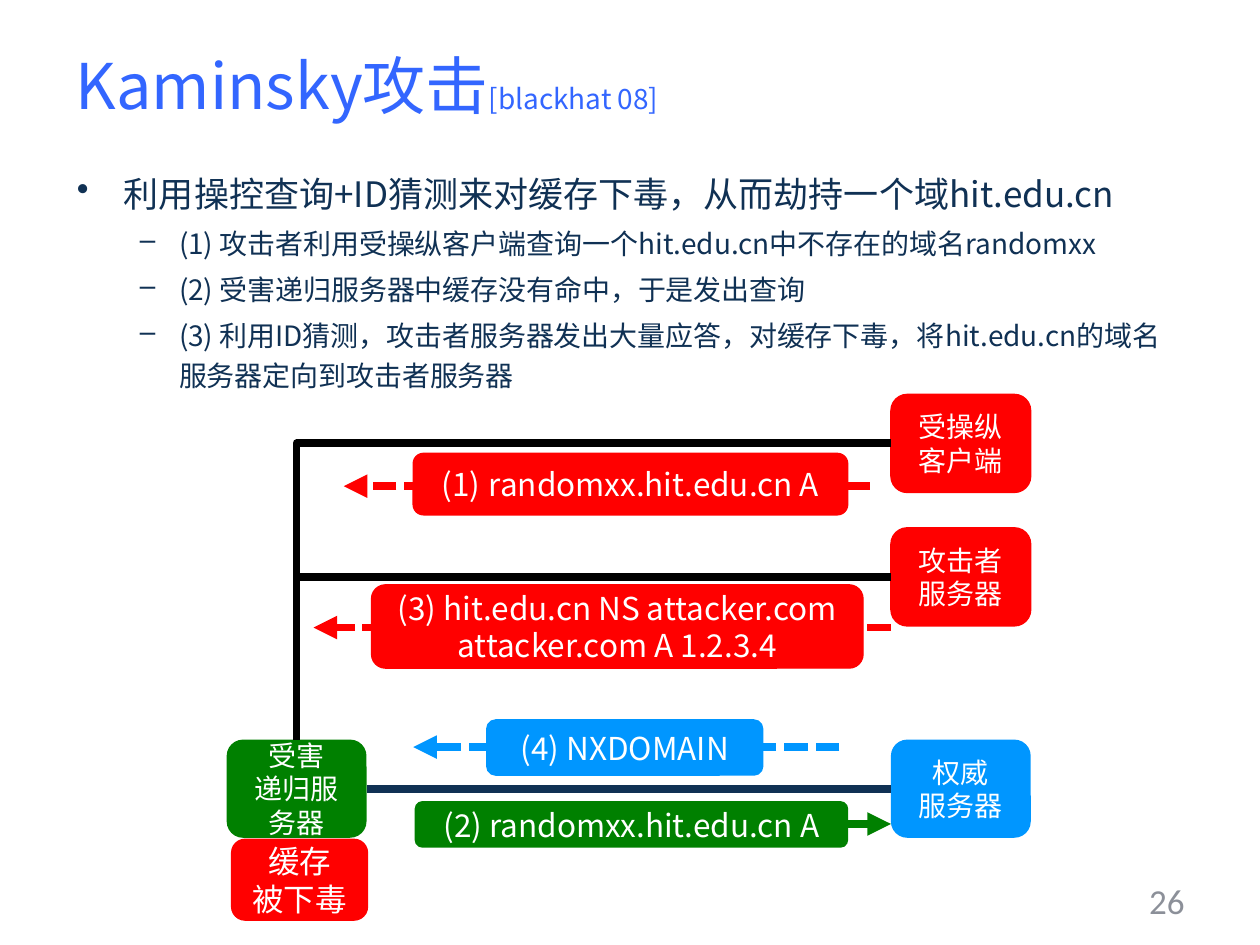
import pptx
import pptx.util
import pptx.dml.color
import pptx.enum.dml
import pptx.enum.shapes
import pptx.enum.text
import pptx.oxml.ns
from lxml import etree

Cm, Pt = pptx.util.Cm, pptx.util.Pt
ALIGN = pptx.enum.text.PP_ALIGN
MIDDLE = pptx.enum.text.MSO_ANCHOR.MIDDLE
CONNECTOR = pptx.enum.shapes.MSO_CONNECTOR
qn = pptx.oxml.ns.qn

THEME = {
    "font": "Noto Sans CJK SC", "number_font": "Calibri",
    "title": "3366FF", "ink": "103154", "grey": "8C9099", "white": "FFFFFF",
    "black": "000000", "red": "FF0000", "green": "008000", "blue": "0096FF",
    "title_size": 36, "point_size": 20, "small_size": 16, "label_size": 18,
    "wire": 4.5, "outline": 0.75,
}

TITLE = [("Kaminsky攻击", "title_size"), ("[blackhat 08]", "small_size")]
# text, size, bullet, left margin, hanging indent, space before
POINT = ("point_size", "•", 0.95, -0.95, 4)
STEP = ("small_size", "–", 2.06, -0.79, 3.2)
BODY = [
    ("利用操控查询+ID猜测来对缓存下毒，从而劫持一个域hit.edu.cn", POINT),
    ("(1) 攻击者利用受操纵客户端查询一个hit.edu.cn中不存在的域名randomxx", STEP),
    ("(2) 受害递归服务器中缓存没有命中，于是发出查询", STEP),
    ("(3) 利用ID猜测，攻击者服务器发出大量应答，对缓存下毒，"
     "将hit.edu.cn的域名服务器定向到攻击者服务器", STEP),
]
PAGE_NUMBER = "26"

HOST_SIZE = (2.82, 1.98)
LEFT_HOST, RIGHT_HOST = 4.57, 17.96
HOSTS = {  # left, top, colour, lines
    "resolver": (LEFT_HOST, 14.91, "green", ["受害", "递归服务器"]),
    "attacker": (RIGHT_HOST, 10.64, "red", ["攻击者", "服务器"]),
    "authority": (RIGHT_HOST, 14.91, "blue", ["权威", "服务器"]),
    "client": (RIGHT_HOST, 7.95, "red", ["受操纵", "客户端"]),
}
# source, source site, target, target site, colour
WIRES = [
    ("client", 1, "resolver", 0, "black"),
    ("attacker", 1, "resolver", 0, "black"),
    ("authority", 1, "resolver", 3, "ink"),
]
# colour, arrow (right, left, y, arrowhead), label box, lines, numbered
MESSAGES = [
    ("green", (17.96, 8.36, 16.61, "headEnd"), (8.36, 16.15, 8.74, 0.94),
     ["(2) randomxx.hit.edu.cn A"], False),
    ("blue", (16.92, 8.33, 15.06, "tailEnd"), (9.8, 14.5, 5.59, 1.14),
     ["(4) NXDOMAIN"], False),
    ("red", (17.96, 6.32, 12.65, "tailEnd"), (7.49, 11.79, 9.91, 1.68),
     ["(3) hit.edu.cn NS attacker.com", "attacker.com A 1.2.3.4"], False),
    ("red", (17.53, 6.93, 9.8, "tailEnd"), (8.33, 9.14, 8.76, 1.24),
     ["randomxx.hit.edu.cn A"], True),
]
POISONED = ((4.67, 16.92, 2.74, 1.63), ["缓存", "被下毒"])


def rgb(name):
    return pptx.dml.color.RGBColor.from_string(THEME[name])


def add_span(para, text, size, colour, font="font"):
    span = para.add_run()
    span.text = text
    formats = {"name": THEME[font], "size": Pt(THEME[size])}
    for key, value in formats.items():
        setattr(span.font, key, value)
    span.font.color.rgb = rgb(colour)
    etree.SubElement(span.font._element, qn("a:ea"), typeface=THEME[font])


def add_bullet(para, tag, left, indent, **values):
    properties = para._p.get_or_add_pPr()
    properties.set("marL", str(Cm(left)))
    properties.set("indent", str(Cm(indent)))
    etree.SubElement(properties, qn(tag), **values)


def paragraphs(frame, count):
    return [frame.paragraphs[0]] + [frame.add_paragraph() for _ in range(count - 1)]


def add_text_box(page, place, **formats):
    frame = page.shapes.add_textbox(*map(Cm, place)).text_frame
    for key, value in dict(word_wrap=True, **formats).items():
        setattr(frame, key, value)
    return frame


def add_box(page, place, colour, lines, size, numbered=False):
    kind = pptx.enum.shapes.MSO_SHAPE.ROUNDED_RECTANGLE
    box = page.shapes.add_shape(kind, *map(Cm, place))
    box.shadow.inherit = False
    box.fill.solid()
    box.fill.fore_color.rgb = rgb(colour)
    if colour == "red":
        box.line.color.rgb = rgb(colour)
        box.line.width = Pt(THEME["outline"])
    else:
        box.line.fill.background()
    frame = box.text_frame
    frame.word_wrap, frame.vertical_anchor = True, MIDDLE
    for para, text in zip(paragraphs(frame, len(lines)), lines):
        para.alignment = ALIGN.CENTER
        if numbered:
            add_bullet(para, "a:buAutoNum", 0.95, -0.95, type="arabicParenBoth")
        add_span(para, text, size, "white")
    return box


def add_line(page, kind, ends, colour):
    line = page.shapes.add_connector(kind, *map(Cm, ends))
    line.line.color.rgb = rgb(colour)
    line.line.width = Pt(THEME["wire"])
    etree.SubElement(line._element.spPr, qn("a:effectLst"))
    return line


def add_wire(page, source, source_site, target, target_site, colour):
    """Join two hosts, with one corner where the target is met from above."""
    bent = target_site == 0
    kind = CONNECTOR.ELBOW if bent else CONNECTOR.STRAIGHT
    wire = add_line(page, kind, (0, 0, 1, 1), colour)
    wire.begin_connect(source, source_site)
    wire.end_connect(target, target_site)
    if bent:
        wire._element.spPr.find(qn("a:prstGeom")).set("prst", "bentConnector2")


def add_arrow(page, right, left, y, arrowhead, colour):
    arrow = add_line(page, CONNECTOR.STRAIGHT, (right, y, left, y), colour)
    arrow.line.dash_style = pptx.enum.dml.MSO_LINE.SQUARE_DOT
    outline = arrow.line._get_or_add_ln()
    etree.SubElement(outline, qn("a:" + arrowhead), type="triangle")


def add_title(page):
    title = page.shapes.title
    place = dict(left=1.27, top=0.1, width=22.86, height=3.18)
    for key, value in place.items():
        setattr(title, key, Cm(value))
    title.text_frame.vertical_anchor = MIDDLE
    para = title.text_frame.paragraphs[0]
    para.alignment = ALIGN.LEFT
    for text, size in TITLE:
        add_span(para, text, size, "title")


def add_body(page):
    frame = add_text_box(page, (1.3, 3.18, 22.86, 4.65))
    paras = paragraphs(frame, len(BODY))
    for para, (text, (size, mark, left, indent, before)) in zip(paras, BODY):
        para.line_spacing = 1.2
        if para is not paras[0]:
            para.space_before = Pt(before)
        add_bullet(para, "a:buChar", left, indent, char=mark)
        add_span(para, text, size, "ink")


def add_page_number(page):
    frame = add_text_box(page, (18.21, 17.65, 5.92, 1.02), vertical_anchor=MIDDLE)
    para = frame.paragraphs[0]
    para.alignment = ALIGN.RIGHT
    add_span(para, PAGE_NUMBER, "point_size", "grey", "number_font")


def main():
    deck = pptx.Presentation()
    deck.slide_width, deck.slide_height = Cm(25.4), Cm(19.05)
    page = deck.slides.add_slide(deck.slide_layouts[5])
    add_title(page)
    add_body(page)
    add_page_number(page)
    hosts = {
        name: add_box(page, (left, top, *HOST_SIZE), colour, lines, "small_size")
        for name, (left, top, colour, lines) in HOSTS.items()
    }
    for source, source_site, target, target_site, colour in WIRES:
        add_wire(page, hosts[source], source_site, hosts[target], target_site, colour)
    for colour, arrow, place, lines, numbered in MESSAGES:
        add_arrow(page, *arrow, colour)
        add_box(page, place, colour, lines, "label_size", numbered)
    place, lines = POISONED
    add_box(page, place, "red", lines, "label_size")
    deck.save("out.pptx")


if __name__ == "__main__":
    main()
